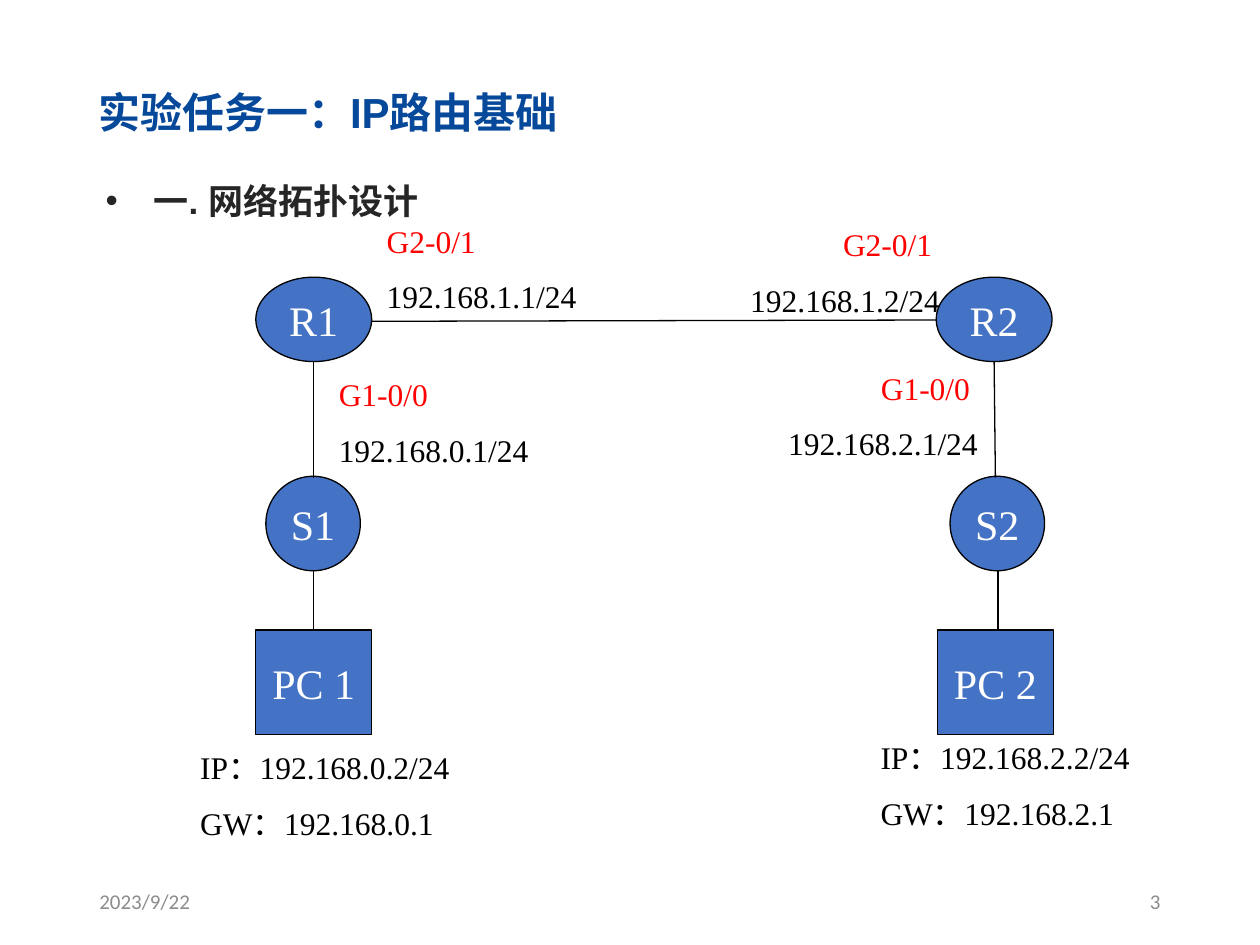
from dataclasses import dataclass

from lxml import etree
from pptx import Presentation
from pptx.dml.color import RGBColor
from pptx.enum import shapes, text
from pptx.oxml import ns
from pptx.util import Inches, Pt

ALIGN = text.PP_ALIGN
ANCHOR = text.MSO_ANCHOR
SHAPE = shapes.MSO_SHAPE


@dataclass(frozen=True)
class Theme:
    heading_font: str = "Arial"
    footer_font: str = "Calibri"
    diagram_font: str = "Times New Roman"
    title: str = "064899"
    body: str = "262626"
    footer: str = "8C8C8C"
    node: str = "4472C4"
    node_text: str = "FFFFFF"
    port: str = "FF0000"
    ink: str = "000000"
    title_size: int = 24
    body_size: int = 20
    node_size: int = 24
    label_size: int = 18
    footer_size: int = 12
    label_gap: int = 10
    line_width: float = 0.75


def write(para, content, font, size, color, bold=False, align=ALIGN.LEFT, before=0, spacing=None):
    para.alignment = align
    para.space_before = Pt(before)
    para.line_spacing = spacing
    span = para.add_run()
    span.text = content
    span.font.name = font
    span.font.size = Pt(size)
    span.font.bold = bold
    span.font.color.rgb = RGBColor.from_string(color)


class Sketch:
    def __init__(self, slide, theme):
        self.slide = slide
        self.theme = theme

    def frame(self, place, anchor=ANCHOR.TOP, grow=True):
        box = self.slide.shapes.add_textbox(*map(Inches, place))
        frame = box.text_frame
        frame.word_wrap = True
        frame.vertical_anchor = anchor
        frame.auto_size = text.MSO_AUTO_SIZE.SHAPE_TO_FIT_TEXT if grow else text.MSO_AUTO_SIZE.NONE
        return frame

    def title(self, content, place):
        t = self.theme
        para = self.frame(place, ANCHOR.MIDDLE).paragraphs[0]
        write(para, content, t.heading_font, t.title_size, t.title, bold=True)

    def bullet(self, content, place, indent=0.38):
        t = self.theme
        para = self.frame(place).paragraphs[0]
        properties = para._p.get_or_add_pPr()
        properties.set("marL", str(Inches(indent)))
        properties.set("indent", str(-Inches(indent)))
        etree.SubElement(properties, ns.qn("a:buFont")).set("typeface", t.heading_font)
        etree.SubElement(properties, ns.qn("a:buChar")).set("char", "•")
        write(para, content, t.heading_font, t.body_size, t.body, bold=True, spacing=1.5)

    def footer(self, content, left, align):
        t = self.theme
        para = self.frame((left, 6.95, 2.25, 0.4), ANCHOR.MIDDLE, grow=False).paragraphs[0]
        write(para, content, t.footer_font, t.footer_size, t.footer, align=align)

    def label(self, first, second, place, color=None, align=ALIGN.LEFT):
        t = self.theme
        frame = self.frame(place)
        write(frame.paragraphs[0], first, t.diagram_font, t.label_size, color or t.ink, align=align)
        write(frame.add_paragraph(), second, t.diagram_font, t.label_size, t.ink,
              align=align, before=t.label_gap)

    def port(self, name, address, place, align=ALIGN.LEFT):
        self.label(name, address, place, self.theme.port, align)

    def node(self, name, kind, place):
        t = self.theme
        shape = self.slide.shapes.add_shape(kind, *map(Inches, place))
        shape.shadow.inherit = False
        shape.fill.solid()
        shape.fill.fore_color.rgb = RGBColor.from_string(t.node)
        shape.line.color.rgb = RGBColor.from_string(t.ink)
        shape.line.width = Pt(t.line_width)
        frame = shape.text_frame
        frame.word_wrap = False
        frame.vertical_anchor = ANCHOR.MIDDLE
        write(frame.paragraphs[0], name, t.diagram_font, t.node_size, t.node_text, align=ALIGN.CENTER)

    def link(self, start, end):
        line = self.slide.shapes.add_connector(
            shapes.MSO_CONNECTOR.STRAIGHT, *map(Inches, (*start, *end)))
        line.line.color.rgb = RGBColor.from_string(self.theme.ink)
        line.line.width = Pt(self.theme.line_width)
        etree.SubElement(line._element.spPr, ns.qn("a:effectLst"))


def main():
    deck = Presentation()
    deck.slide_width, deck.slide_height = Inches(10), Inches(7.5)
    sketch = Sketch(deck.slides.add_slide(deck.slide_layouts[6]), Theme())

    sketch.footer("2023/9/22", 0.69, ALIGN.LEFT)
    sketch.footer("3", 7.06, ALIGN.RIGHT)
    sketch.title("实验任务一：IP路由基础", (0.68, 0.64, 8.52, 0.5))
    sketch.bullet("一. 网络拓扑设计", (0.74, 1.21, 8.52, 0.55))

    sides = [
        (1, 2.03, 2.11, 2.03, (2.49, 2.49), 2.49),
        (2, 7.43, 7.54, 7.44, (7.89, 7.9), 7.92),
    ]
    for number, router, switch, computer, (upper, lower), drop in sides:
        sketch.node(f"R{number}", SHAPE.OVAL, (router, 2.2, 0.92, 0.67))
        sketch.node(f"S{number}", SHAPE.OVAL, (switch, 3.78, 0.75, 0.75))
        sketch.node(f"PC {number}", SHAPE.RECTANGLE, (computer, 5, 0.92, 0.83))
        sketch.link((upper, 2.87), (lower, 3.79))
        sketch.link((drop, 4.53), (drop, 5))
    sketch.link((2.95, 2.55), (7.43, 2.54))

    sketch.port("G2-0/1", "192.168.1.1/24", (2.97, 1.71, 1.76, 0.86))
    sketch.port("G1-0/0", "192.168.0.1/24", (2.59, 2.93, 1.82, 0.86))
    sketch.port("G2-0/1 ", "192.168.1.2/24", (5.8, 1.74, 1.76, 0.86), ALIGN.RIGHT)
    sketch.port("G1-0/0 ", "192.168.2.1/24", (6.13, 2.88, 1.73, 0.86), ALIGN.RIGHT)
    sketch.label("IP：192.168.0.2/24", "GW：192.168.0.1", (1.49, 5.89, 2.28, 0.86))
    sketch.label("IP：192.168.2.2/24", "GW：192.168.2.1", (6.89, 5.81, 2.64, 0.86))

    deck.save("out.pptx")


if __name__ == "__main__":
    main()
